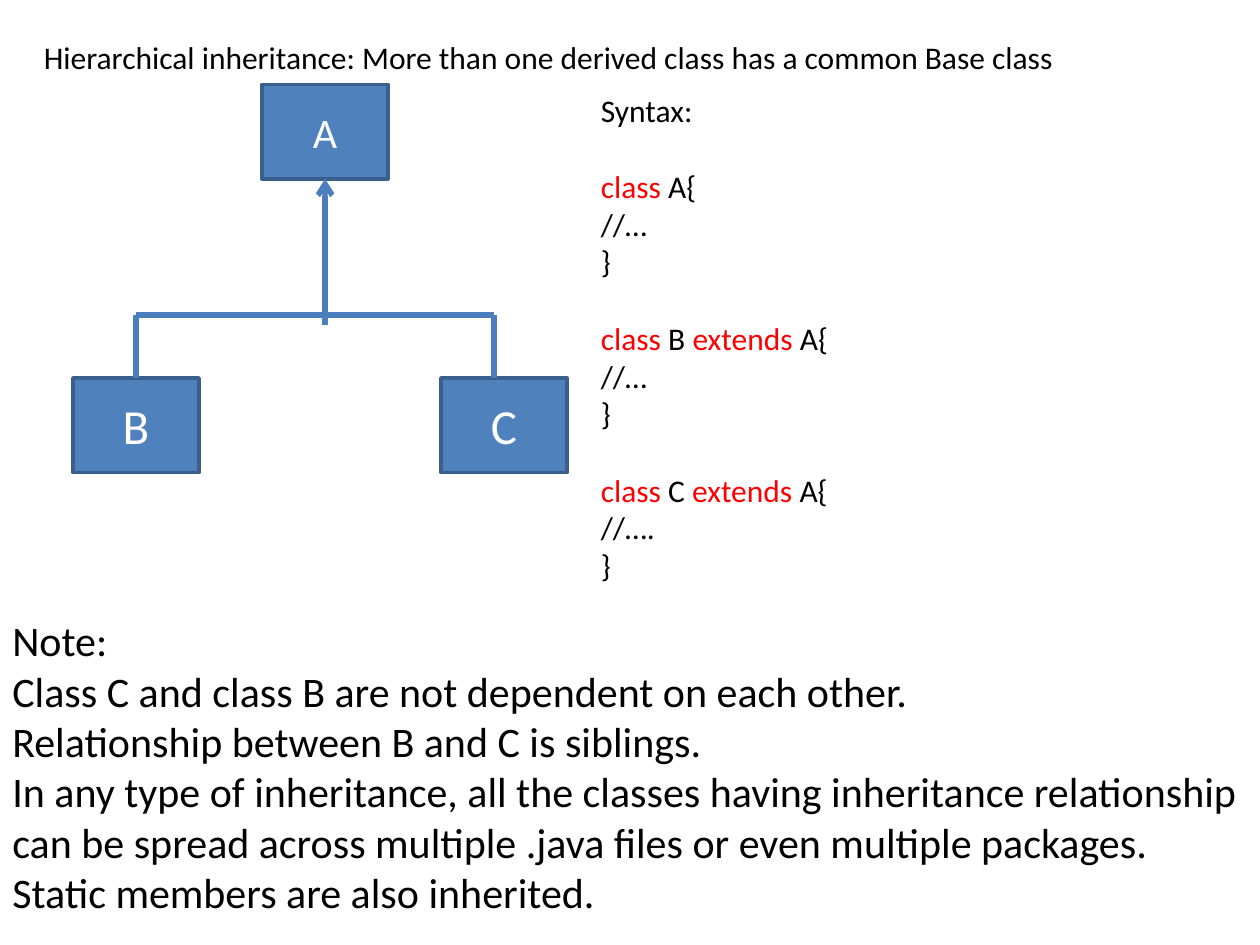
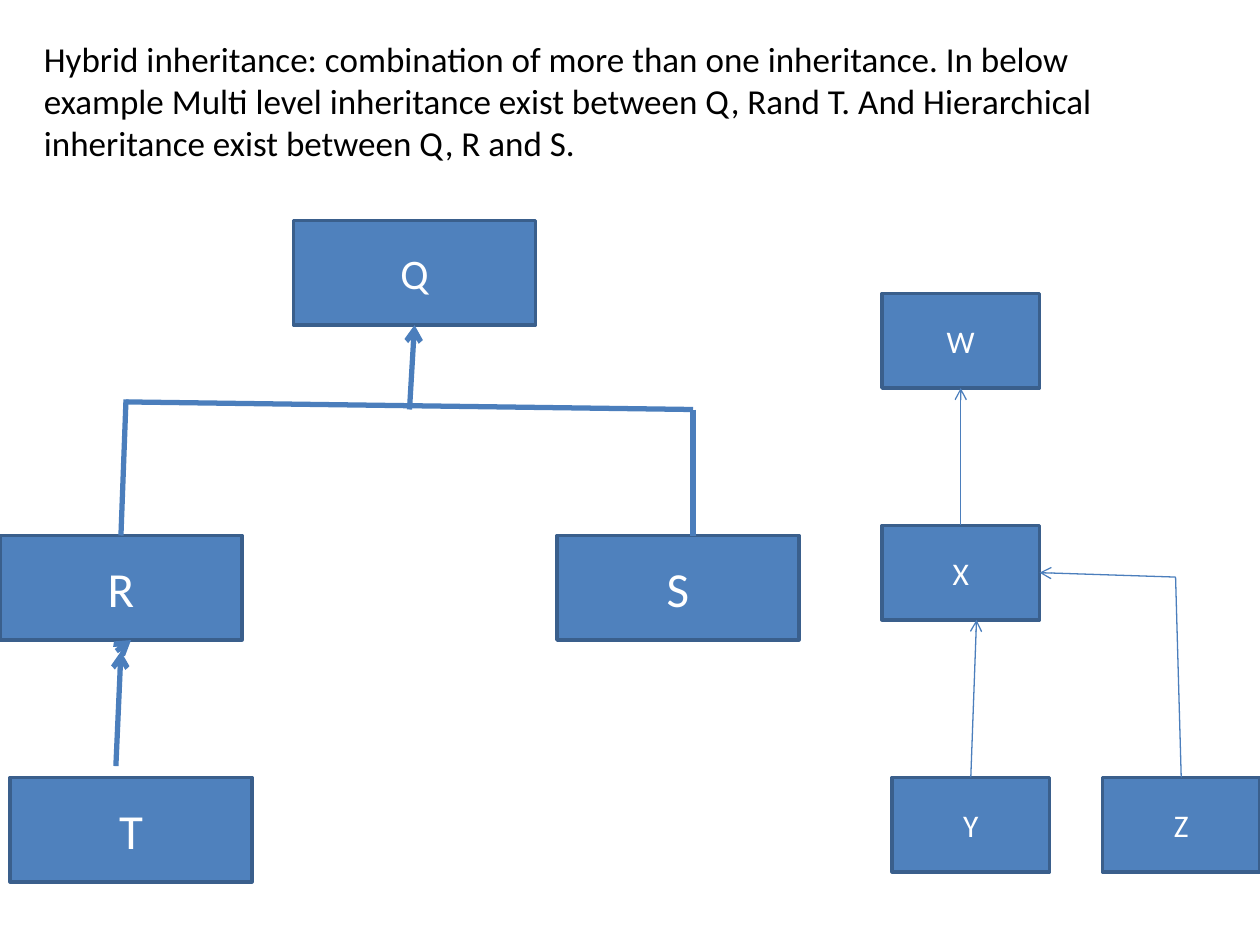
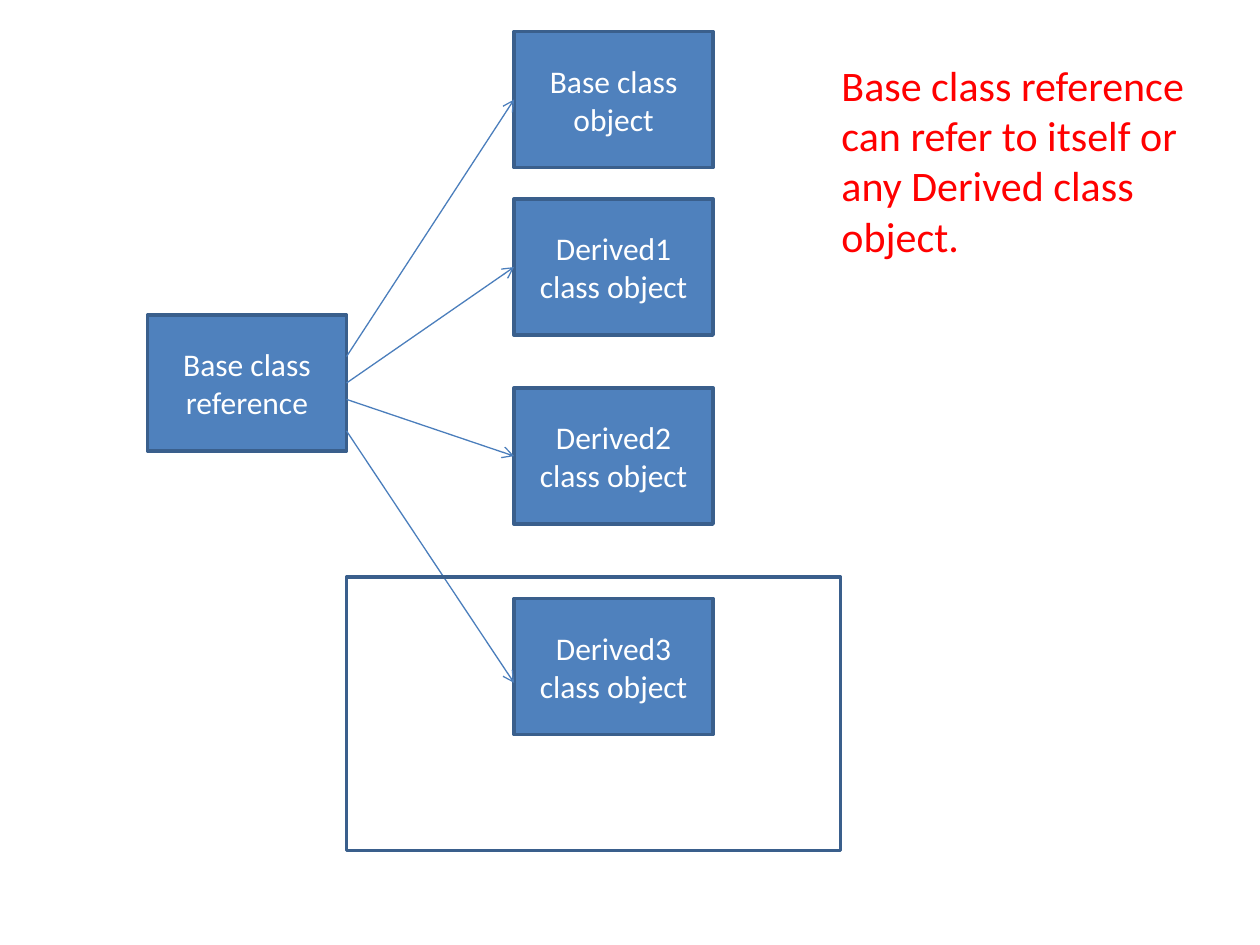
from dataclasses import dataclass
from lxml.etree import SubElement
from pptx import Presentation
from pptx.dml.color import RGBColor
from pptx.enum.shapes import MSO_CONNECTOR, MSO_SHAPE
from pptx.enum.text import MSO_ANCHOR, PP_ALIGN
from pptx.oxml.ns import qn
from pptx.util import Inches, Pt


@dataclass(frozen=True)
class Theme:
    font: str = "Calibri"
    fill: str = "4F81BD"
    edge: str = "3A5F8C"
    wire: str = "4B7EBC"
    ink: str = "000000"
    pale: str = "FFFFFF"
    mark: str = "FF0000"
    small: int = 18
    mid: int = 20
    large: int = 24
    huge: int = 28
    gap: int = 22
    thin: float = 0.75
    border: float = 2
    bold: float = 3


look = Theme()

# Content: text
tree_head = ["Hierarchical inheritance: More than one derived class has a common Base class"]
syntax = [
    ["Syntax:"],
    ["class A{", "//…", "}"],
    ["class B extends A{", "//…", "}"],
    ["class C extends A{", "//….", "}"],
]
notes = [
    "Note:",
    "Class C and class B are not dependent on each other.",
    "Relationship between B and C is siblings.",
    "In any type of inheritance, all the classes having inheritance relationship "
    "can be spread across multiple .java files or even multiple packages.",
    "Static members are also inherited.",
]
mix_head = [
    "Hybrid inheritance: combination of more than one inheritance. In below example "
    "Multi level inheritance exist between Q, Rand T. And Hierarchical inheritance "
    "exist between Q, R and S."
]
rule = ["Base class reference can refer to itself or any Derived class object."]

# Content: boxes as label, left, top, type size
tree = [("A", 2.08, 0.67, look.large), ("B", 0.58, 3, look.huge), ("C", 3.5, 3, look.huge)]
wide = [("Q", 2.33, 1.75, look.large), ("R", 0, 4.25, look.huge),
        ("S", 4.42, 4.25, look.huge), ("T", 0.08, 6.17, look.huge)]
slim = [("W", 7, 2.33, look.small), ("X", 7, 4.17, look.small),
        ("Y", 7.08, 6.17, look.small), ("Z", 8.75, 6.17, look.small)]
root = [("Base class reference", 1.17, 2.5, look.small)]
# Objects as label, top, height where the arrow leaves, height where it lands
goals = [("Base class object", 0.25, 2.83, 0.79), ("Derived1 class object", 1.58, 3.04, 2.12),
         ("Derived2 class object", 3.08, 3.17, 3.62), ("Derived3 class object", 4.75, 3.42, 5.42)]


def tint(code):
    return RGBColor.from_string(code)


def write(frame, paras, size=look.small, color=look.ink, align=PP_ALIGN.LEFT,
          anchor=MSO_ANCHOR.TOP, keys=(), gaps=()):
    """Fill a frame; words in keys are marked, paragraphs in gaps get space above."""
    frame.word_wrap = True
    frame.vertical_anchor = anchor
    for i, line in enumerate(paras):
        para = frame.paragraphs[0] if i == 0 else frame.add_paragraph()
        para.alignment = align
        if i in gaps:
            para.space_before = Pt(look.gap)
        words = line.split(" ") if keys else [line]
        for j, word in enumerate(words):
            run = para.add_run()
            run.text = word + (" " if j < len(words) - 1 else "")
            run.font.name = look.font
            run.font.size = Pt(size)
            run.font.color.rgb = tint(look.mark if word in keys else color)


def label(slide, at, paras, **kind):
    box = slide.shapes.add_textbox(*map(Inches, at))
    write(box.text_frame, paras, **kind)


def block(slide, at, fill=None):
    shape = slide.shapes.add_shape(MSO_SHAPE.RECTANGLE, *map(Inches, at))
    shape.shadow.inherit = False
    if fill:
        shape.fill.solid()
        shape.fill.fore_color.rgb = tint(fill)
    else:
        shape.fill.background()
    shape.line.color.rgb = tint(look.edge)
    shape.line.width = Pt(look.border)
    return shape


def nodes(slide, items, wide, high):
    """Draw equal boxes and return their places by label."""
    spots = {}
    for name, left, top, size in items:
        spots[name] = (left, top, wide, high)
        shape = block(slide, spots[name], look.fill)
        write(shape.text_frame, [name], size=size, color=look.pale,
              align=PP_ALIGN.CENTER, anchor=MSO_ANCHOR.MIDDLE)
    return spots


def pin(spot, across, down):
    left, top, wide, high = spot
    return left + across * wide, top + down * high


def wire(slide, start, end, width=look.thin, arrow=False):
    line = slide.shapes.add_connector(MSO_CONNECTOR.STRAIGHT, *map(Inches, (*start, *end)))
    line.line.color.rgb = tint(look.wire)
    line.line.width = Pt(width)
    if arrow:
        SubElement(line.line._get_or_add_ln(), qn("a:tailEnd"), type="arrow")
    SubElement(line._element.spPr, qn("a:effectLst"))


deck = Presentation()
deck.slide_width, deck.slide_height = Inches(10), Inches(7.5)
one, two, three = [deck.slides.add_slide(deck.slide_layouts[6]) for _ in range(3)]

# Slide 1: hierarchical tree
spots = nodes(one, tree, 1, 0.75)
bar = 2.5
feet = [pin(spots["B"], 0.5, 0), pin(spots["C"], 0.42, 0)]
wire(one, (2.58, 2.58), pin(spots["A"], 0.5, 1), look.bold, True)
wire(one, *[(x, bar) for x, _ in feet], look.bold)
for x, y in feet:
    wire(one, (x, bar), (x, y), look.bold)

# Slide 1: text
label(one, (0.25, 0.25, 8.67, 0.4), tree_head)
lines = [line for part in syntax for line in part]
starts = [sum(map(len, syntax[:i])) for i in range(1, len(syntax))]
label(one, (4.67, 0.67, 5.25, 4.04), lines, keys=("class", "extends"), gaps=starts)
label(one, (0, 4.83, 10, 2.52), notes, size=look.large)

# Slide 2: wide tree with bold wires
spots = nodes(two, wide, 1.92, 0.83)
left, right = (1, 3.19), (5.5, 3.25)
wire(two, (3.25, 3.25), pin(spots["Q"], 0.5, 1), look.bold, True)
wire(two, left, right, look.bold)
wire(two, (1, 3.17), pin(spots["R"], 0.5, 0), look.bold)
wire(two, right, (5.5, 4.25), look.bold)
wire(two, (1, 5.11), (1.04, 5.08), look.bold, True)
wire(two, (0.92, 6.08), (0.96, 5.17), look.bold, True)
label(two, (0.25, 0.25, 8.67, 1.11), mix_head, size=look.mid)

# Slide 2: slim tree with thin wires
spots = nodes(two, slim, 1.25, 0.75)
bend = (9.33, 4.58)
wire(two, pin(spots["X"], 0.5, 0), pin(spots["W"], 0.5, 1), arrow=True)
wire(two, pin(spots["Y"], 0.5, 0), pin(spots["X"], 0.6, 1), arrow=True)
wire(two, bend, pin(spots["X"], 1, 0.5), arrow=True)
wire(two, bend, pin(spots["Z"], 0.5, 0))

# Slide 3: reference, objects and arrows
col = 4.08
nodes(three, root + [(name, col, top, look.small) for name, top, _, _ in goals], 1.58, 1.08)
for _, _, leave, land in goals:
    wire(three, (2.75, leave), (col, land), arrow=True)
block(three, (2.75, 4.58, 3.92, 2.17))
label(three, (6.58, 0.42, 3.25, 1.72), rule, size=look.large, color=look.mark)

deck.save("out.pptx")
